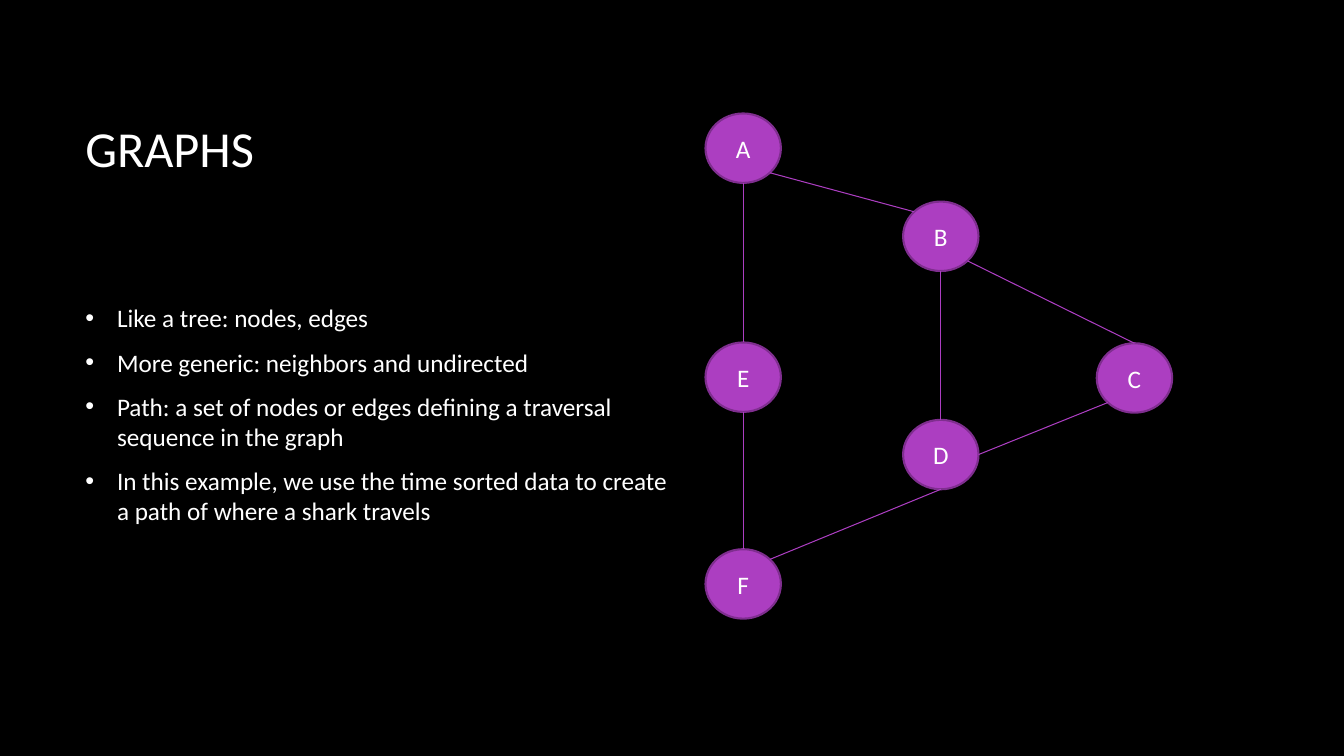
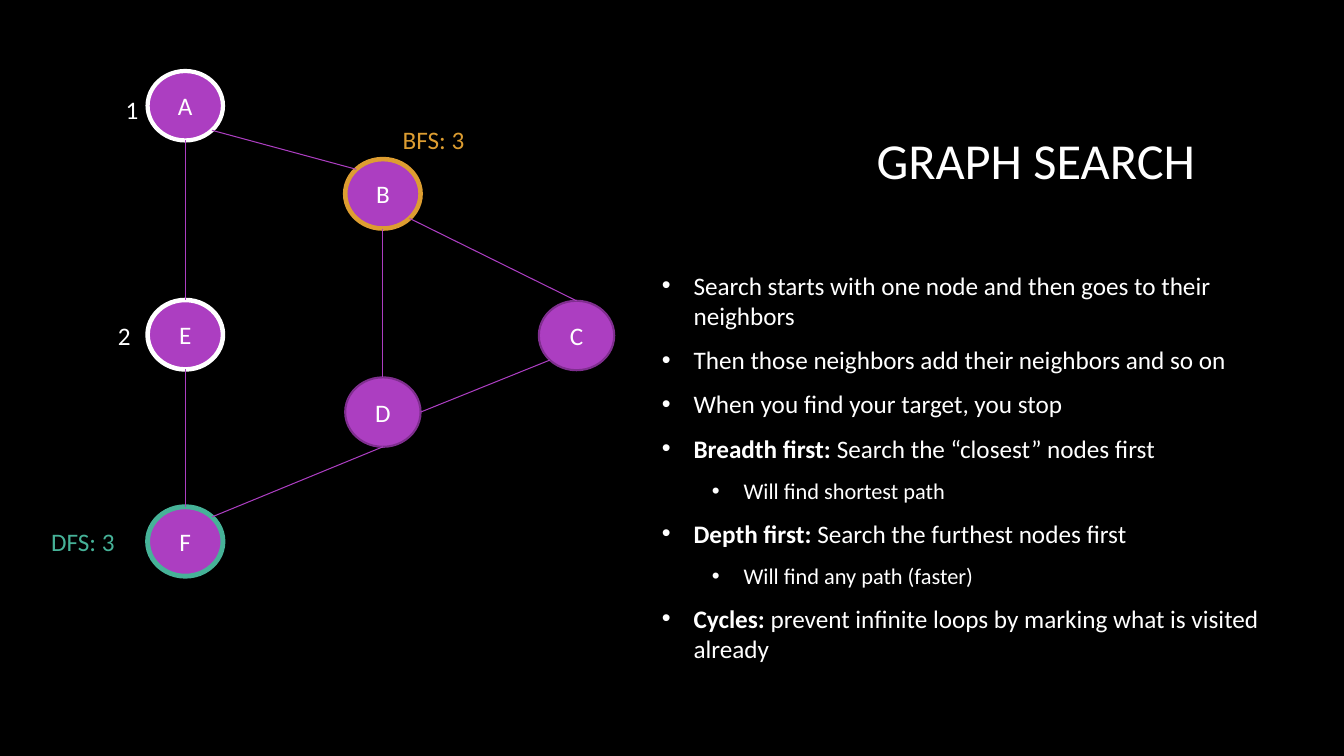
import math

import pptx
import pptx.dml.color
import pptx.enum.shapes
import pptx.enum.text
import pptx.oxml
import pptx.oxml.ns
import pptx.util
from pptx.util import Cm

RGB = pptx.dml.color.RGBColor
BLACK = RGB(0x00, 0x00, 0x00)
WHITE = RGB(0xFF, 0xFF, 0xFF)
PURPLE = RGB(0xAC, 0x3E, 0xC1)
DARK_PURPLE = RGB(0x7F, 0x2E, 0x8F)
ORANGE = RGB(0xDD, 0x9D, 0x31)
GREEN = RGB(0x46, 0xB2, 0x98)

FONT = "Calibri"
NODE_W, NODE_H = 1.9, 1.75
HANGING = 0.8
LEVELS = [(HANGING, 18), (2.06, 16)]  # left margin in cm, text size in points

# Node corners in cm, measured from the corner of node A
NODES = {
    "A": (0, 0),
    "B": (4.98, 2.22),
    "C": (9.86, 5.79),
    "D": (4.98, 7.72),
    "E": (0, 5.77),
    "F": (0, 10.98),
}

# Node and side where each edge starts and ends
EDGES = [
    ("F", "top right", "D", "bottom"),
    ("A", "bottom right", "B", "top left"),
    ("A", "bottom", "E", "top"),
    ("B", "bottom", "D", "top"),
    ("B", "bottom right", "C", "top"),
    ("D", "right", "C", "bottom left"),
    ("E", "bottom", "F", "top"),
]
ANGLES = {"right": 0, "bottom right": 45, "bottom": 90, "bottom left": 135,
          "top left": 225, "top": 270, "top right": 315}


def rim_point(name, side):
    """Point on the outline of a node, in cm from the corner of node A."""
    x, y = NODES[name]
    angle = math.radians(ANGLES[side])
    return (x + NODE_W / 2 * (1 + math.cos(angle)),
            y + NODE_H / 2 * (1 + math.sin(angle)))


class Deck:
    """Shared style and the slide being built."""

    def __init__(self):
        self.prs = pptx.Presentation()
        self.prs.slide_width = Cm(33.87)
        self.prs.slide_height = Cm(19.05)
        self.s = None

    def new_slide(self):
        self.s = self.prs.slides.add_slide(self.prs.slide_layouts[6])
        fill = self.s.background.fill
        fill.solid()
        fill.fore_color.rgb = BLACK

    def run(self, p, text, size=18, color=WHITE, bold=False):
        r = p.add_run()
        r.text = text
        r.font.name = FONT
        r.font.size = pptx.util.Pt(size)
        r.font.bold = bold
        r.font.color.rgb = color

    def text_frame(self, x, y, w, h, middle=True):
        sp = self.s.shapes.add_textbox(Cm(x), Cm(y), Cm(w), Cm(h))
        tf = sp.text_frame
        tf.word_wrap = True
        if middle:
            tf.vertical_anchor = pptx.enum.text.MSO_ANCHOR.MIDDLE
        return tf

    def title(self, text, x, y, w, h):
        tf = self.text_frame(x, y, w, h)
        self.run(tf.paragraphs[0], text, 36)

    def label(self, text, x, y, w, color=WHITE):
        tf = self.text_frame(x, y, w, 1.02, middle=False)
        self.run(tf.paragraphs[0], text, color=color)

    def bullets(self, items, x, y, w, h):
        """Bullet list; each item is (level, bold lead, text)."""
        tf = self.text_frame(x, y, w, h)
        for i, (level, lead, text) in enumerate(items):
            p = tf.add_paragraph() if i else tf.paragraphs[0]
            margin, size = LEVELS[level]
            p.level = level
            self.add_bullet(p, margin)
            p.space_after = pptx.util.Pt(10)
            if lead:
                self.run(p, lead, size, bold=True)
            self.run(p, text, size)

    def add_bullet(self, p, margin):
        pPr = p._p.get_or_add_pPr()
        pPr.set("marL", str(Cm(margin)))
        pPr.set("indent", str(-Cm(HANGING)))
        ns = pptx.oxml.ns.nsdecls("a")
        for xml in (f'<a:buClr {ns}><a:srgbClr val="{WHITE}"/></a:buClr>',
                    f'<a:buFont {ns} typeface="Arial"/>',
                    f'<a:buChar {ns} char="•"/>'):
            pPr.append(pptx.oxml.parse_xml(xml))

    def node(self, name, x, y, line, width):
        sp = self.s.shapes.add_shape(pptx.enum.shapes.MSO_SHAPE.OVAL,
                                     Cm(x), Cm(y), Cm(NODE_W), Cm(NODE_H))
        sp.shadow.inherit = False
        sp.fill.solid()
        sp.fill.fore_color.rgb = PURPLE
        sp.line.color.rgb = line
        sp.line.width = pptx.util.Pt(width)
        tf = sp.text_frame
        tf.vertical_anchor = pptx.enum.text.MSO_ANCHOR.MIDDLE
        p = tf.paragraphs[0]
        p.alignment = pptx.enum.text.PP_ALIGN.CENTER
        self.run(p, name)

    def edge(self, x1, y1, x2, y2):
        c = self.s.shapes.add_connector(
            pptx.enum.shapes.MSO_CONNECTOR.STRAIGHT,
            Cm(x1), Cm(y1), Cm(x2), Cm(y2))
        c.line.color.rgb = PURPLE
        c.line.width = pptx.util.Pt(0.75)
        ns = pptx.oxml.ns.nsdecls("a")
        c._element.spPr.append(pptx.oxml.parse_xml(f"<a:effectLst {ns}/>"))

    def graph(self, x, y, outlines=None):
        """Whole graph with node A at x, y; outlines maps names to (colour, width)."""
        outlines = outlines or {}
        for name, (dx, dy) in NODES.items():
            line, width = outlines.get(name, (DARK_PURPLE, 1.5))
            self.node(name, x + dx, y + dy, line, width)
        for start, start_side, end, end_side in EDGES:
            x1, y1 = rim_point(start, start_side)
            x2, y2 = rim_point(end, end_side)
            self.edge(x + x1, y + y1, x + x2, y + y2)


def graphs_slide(deck):
    deck.new_slide()
    deck.title("GRAPHS", 1.9, 1.7, 28.14, 4.04)
    deck.bullets([
        (0, "", "Like a tree: nodes, edges"),
        (0, "", "More generic: neighbors and undirected"),
        (0, "", "Path: a set of nodes or edges defining a traversal "
                "sequence in the graph"),
        (0, "", "In this example, we use the time sorted data to create "
                "a path of where a shark travels"),
    ], 1.9, 5.94, 15.44, 9)
    deck.graph(17.78, 2.86)


def search_slide(deck):
    deck.new_slide()
    deck.title("GRAPH SEARCH", 21.84, 1.78, 10.29, 4.47)
    deck.bullets([
        (0, "", "Search starts with one node and then goes to their neighbors"),
        (0, "", "Then those neighbors add their neighbors and so on"),
        (0, "", "When you find your target, you stop"),
        (0, "Breadth first: ", "Search the “closest” nodes first"),
        (1, "", "Will find shortest path"),
        (0, "Depth first: ", "Search the furthest nodes first"),
        (1, "", "Will find any path (faster)"),
        (0, "Cycles: ", "prevent infinite loops by marking what is visited already"),
    ], 16.43, 6.25, 15.72, 11.02)
    deck.graph(3.72, 1.79, {
        "A": (WHITE, 3),
        "E": (WHITE, 3.25),
        "B": (ORANGE, 3.25),
        "F": (GREEN, 3.5),
    })
    deck.label("1", 2.92, 2.26, 0.8)
    deck.label("2", 2.72, 7.95, 0.8)
    deck.label("BFS: 3", 9.9, 3, 3.63, ORANGE)
    deck.label("DFS: 3", 1.04, 13.13, 2.5, GREEN)


def main():
    deck = Deck()
    graphs_slide(deck)
    search_slide(deck)
    deck.prs.save("out.pptx")


if __name__ == "__main__":
    main()
